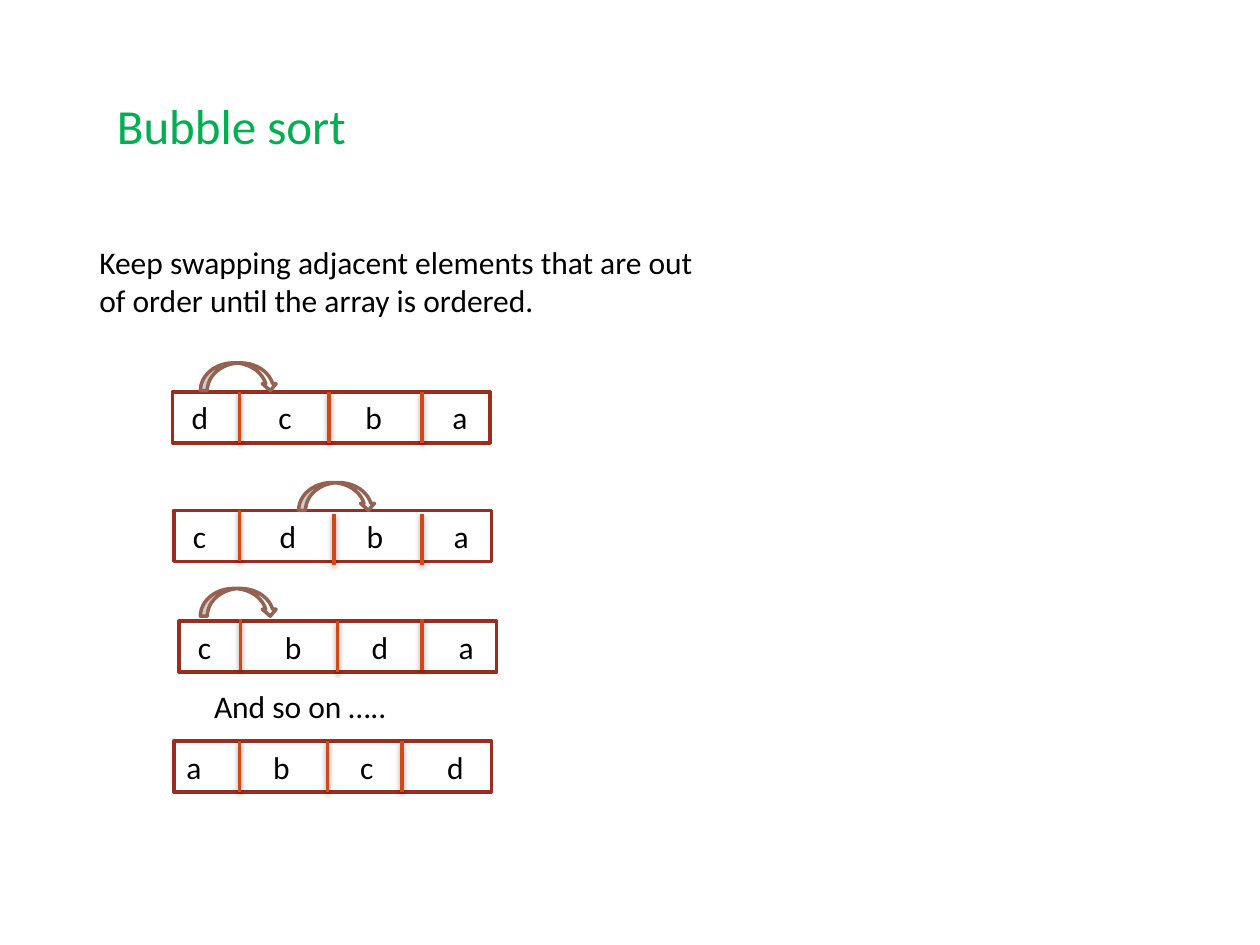
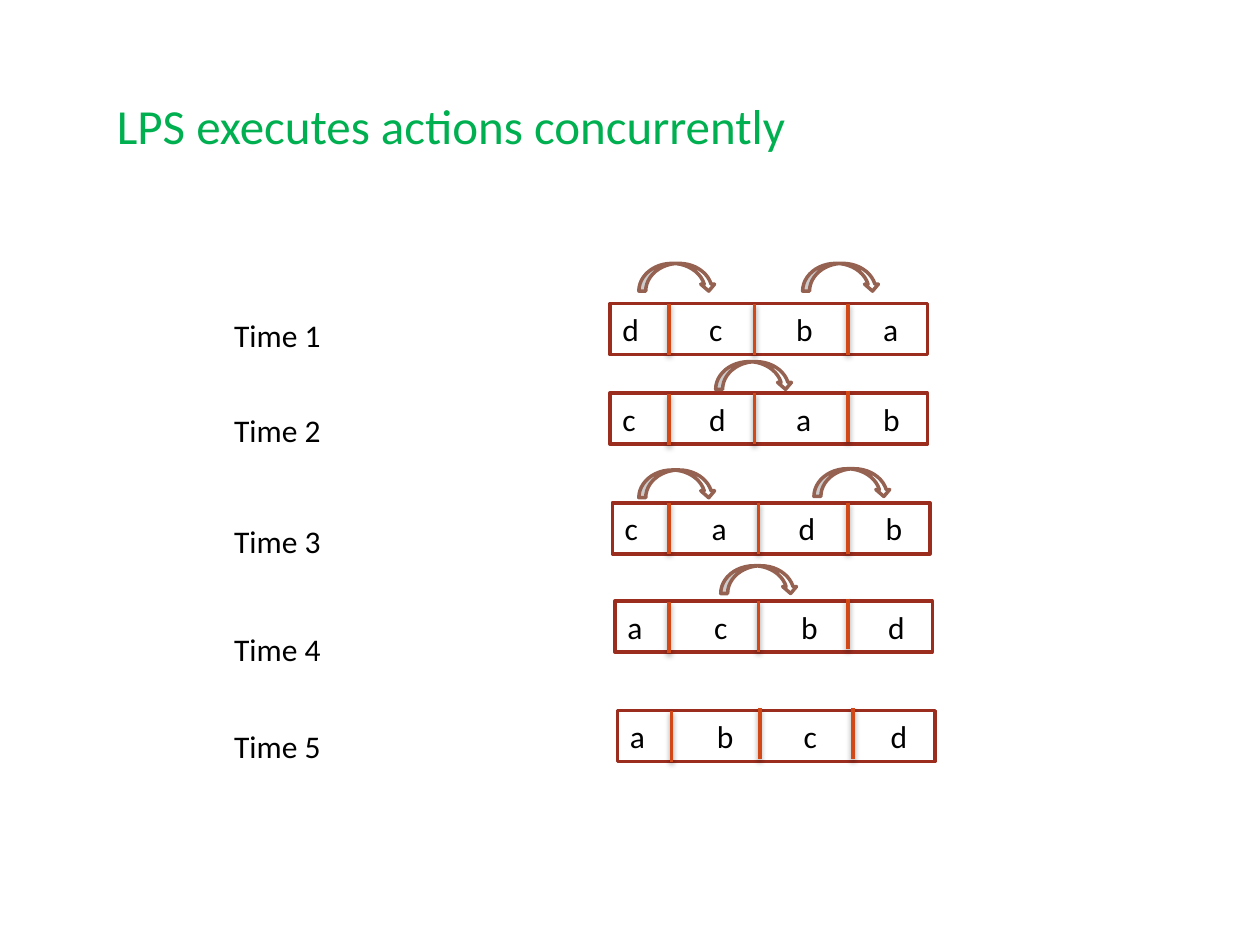
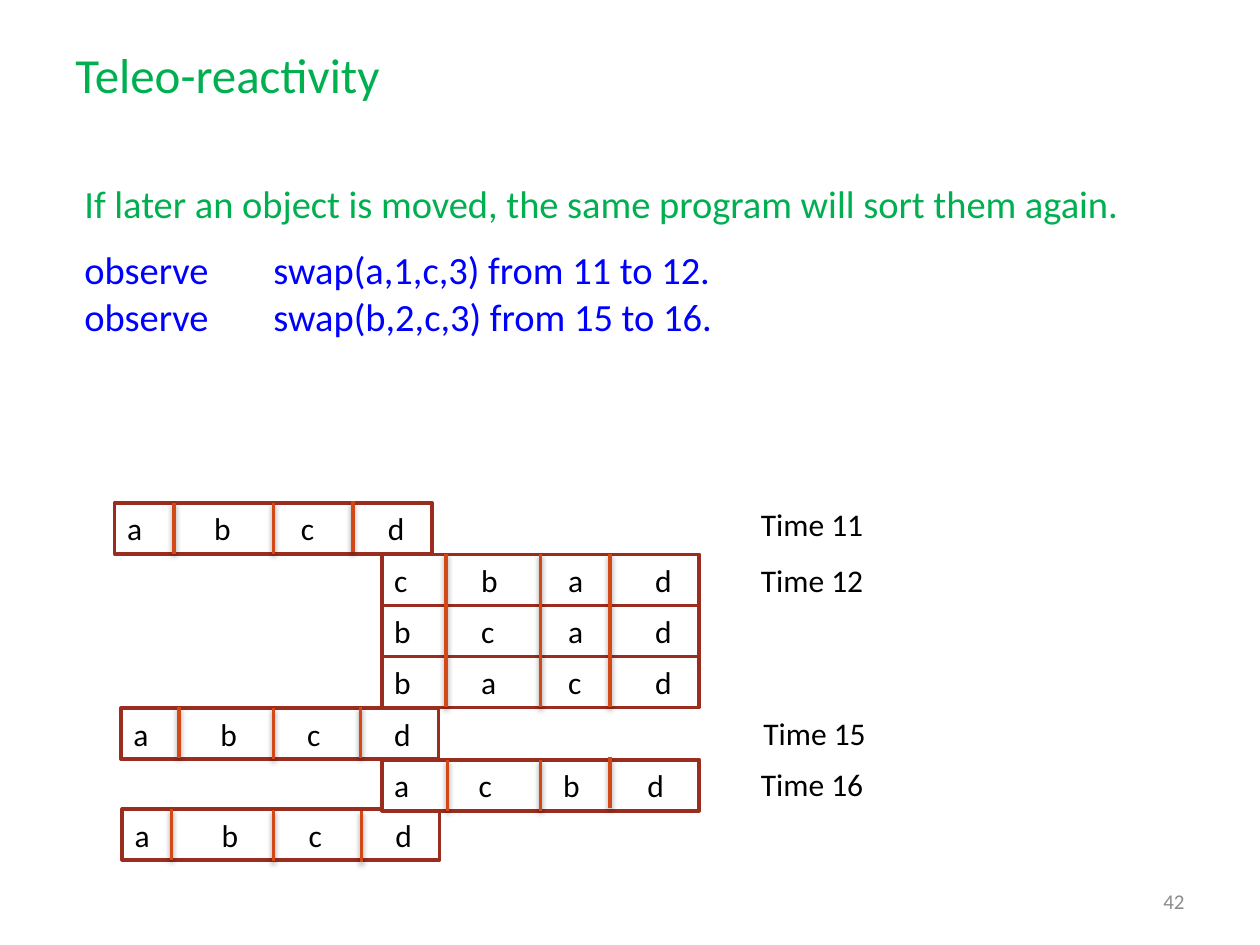
from lxml.etree import SubElement
from pptx import Presentation
from pptx.dml.color import RGBColor
from pptx.enum.shapes import MSO_CONNECTOR, MSO_SHAPE
from pptx.enum.text import MSO_ANCHOR, PP_ALIGN
from pptx.oxml.ns import qn
from pptx.util import Inches, Pt

WIDTH, HEIGHT = Inches(10), Inches(7.5)
COLUMNS, ROWS = 100, 75
FONT = "Calibri"
GREEN, BLUE, BLACK, WHITE, GREY = "00B050", "0000FF", "000000", "FFFFFF", "8C8C8C"
FRAME, DIVIDER, ARROW = "9B2D1F", "D34817", "956251"
ARRAY_WIDTH, ARRAY_HEIGHT = 25.2, 4.05
LETTER_PITCH = 6.9


def color(code):
    return RGBColor.from_string(code)


def across(columns):
    return int(WIDTH * columns / COLUMNS)


def down(rows):
    return int(HEIGHT * rows / ROWS)


def area(left, top, width, height):
    return across(left), down(top), across(width), down(height)


def assign(target, values):
    for name, value in values.items():
        setattr(target, name, value)


def add_tabs(para, stops):
    tabs = SubElement(para._p.get_or_add_pPr(), qn("a:tabLst"))
    for stop in stops:
        SubElement(tabs, qn("a:tab"), pos=str(across(stop)), algn="l")


def write(box, lines, frame_format=None, tabs=()):
    frame = box.text_frame
    assign(frame, {"word_wrap": True, **(frame_format or {})})
    for index, (text, size, code, para_format) in enumerate(lines):
        para = frame.paragraphs[0] if index == 0 else frame.add_paragraph()
        assign(para, {"alignment": PP_ALIGN.LEFT, **para_format})
        if tabs:
            add_tabs(para, tabs)
        span = para.add_run()
        span.text = text
        assign(span.font, {"name": FONT, "size": Pt(size)})
        span.font.color.rgb = color(code)


def add_text(page, place, lines, frame_format=None, tabs=()):
    write(page.shapes.add_textbox(*area(*place)), lines, frame_format, tabs)


def add_title(page, text, left=8.3, top=3.7):
    add_text(page, (left, top, 90, 12.5), [(text, 28, GREEN, {})],
             {"vertical_anchor": MSO_ANCHOR.MIDDLE})


def add_label(page, text, left, top, width=16.5, height=4.1):
    add_text(page, (left, top, width, height), [(text, 18, BLACK, {})])


def add_outlined(page, kind, place, line_code):
    shape = page.shapes.add_shape(kind, *area(*place))
    shape.shadow.inherit = False
    shape.fill.solid()
    shape.fill.fore_color.rgb = color(WHITE)
    shape.line.color.rgb = color(line_code)
    shape.line.width = Pt(2)
    return shape


def add_swap(page, left, top):
    add_outlined(page, MSO_SHAPE.CURVED_DOWN_ARROW, (left, top, 6.1, 2.2), ARROW)


def add_shadow(line):
    effects = SubElement(line._element.spPr, qn("a:effectLst"))
    shadow = SubElement(effects, qn("a:outerShdw"), blurRad=str(Pt(3.1)),
                        dist=str(Pt(1.6)), dir="5400000", rotWithShape="0")
    tone = SubElement(shadow, qn("a:srgbClr"), val=BLACK)
    SubElement(tone, qn("a:alpha"), val="38000")


def add_divider(page, column, top, bottom):
    line = page.shapes.add_connector(MSO_CONNECTOR.STRAIGHT, across(column), down(top),
                                     across(column), down(bottom))
    line.line.color.rgb = color(DIVIDER)
    line.line.width = Pt(2)
    add_shadow(line)
    return line


def add_arrays(page, left, top, orders, dividers, drops=(0, 0, 0), inset=1, pitch=LETTER_PITCH):
    boxes = []
    for index, letters in enumerate(orders):
        place = (left, top + index * ARRAY_HEIGHT, ARRAY_WIDTH, ARRAY_HEIGHT)
        box = add_outlined(page, MSO_SHAPE.RECTANGLE, place, FRAME)
        write(box, [("\t".join(letters), 18, BLACK, {})],
              {"margin_left": across(inset), "vertical_anchor": MSO_ANCHOR.MIDDLE},
              [pitch * step for step in range(1, len(letters))])
        boxes.append(box)
    bottom = top + len(orders) * ARRAY_HEIGHT
    for column, drop in zip(dividers, drops):
        line = add_divider(page, column, top + drop, bottom + drop)
        if abs(column - left - ARRAY_WIDTH / 2) < 0.05:
            line.begin_connect(boxes[0], 0)
            line.end_connect(boxes[-1], 2)


def add_bubble_sort(page):
    add_title(page, "Bubble sort")
    add_text(page, (6.9, 18.8, 50, 7.1), [
        ("Keep swapping adjacent elements that are out of order until the array is ordered.",
         18, BLACK, {})])
    add_arrays(page, 13.7, 31.1, ["dcba"], (19, 26.1, 33.5), inset=1.5)
    add_arrays(page, 13.8, 40.5, ["cdba"], (19, 26.5, 33.5), (0, 0.3, 0.3), inset=1.5)
    add_arrays(page, 14.2, 49.3, ["cbda"], (19.1, 26.8, 33.5), (-0.2, 0, -0.2), inset=1.5)
    add_arrays(page, 13.8, 58.8, ["abcd"], (19, 26, 31.9))
    for left, top in ((15.9, 28.8), (23.7, 38.3), (15.9, 46.7)):
        add_swap(page, left, top)
    add_label(page, "And so on …..", 16, 54, 19.1)


def add_concurrent_actions(page):
    add_title(page, "LPS executes actions concurrently")
    add_arrays(page, 48.4, 24.1, ["dcba"], (53.1, 59.9, 67.3))
    add_arrays(page, 48.4, 31.2, ["cdab"], (53.1, 59.9, 67.3), (0.1, 0, -0.2))
    add_arrays(page, 48.6, 39.9, ["cadb"], (53.1, 60.2, 67.3))
    add_arrays(page, 48.8, 47.7, ["acbd"], (53.1, 60.2, 67.3), (0.1, 0, -0.2))
    add_arrays(page, 49, 56.4, ["abcd"], (53.3, 60.3, 67.7), (0, -0.2, -0.2))
    for left, top in ((50.7, 20.9), (63.7, 20.9), (56.8, 28.7),
                      (50.7, 37.3), (64.6, 37.2), (57.2, 44.9)):
        add_swap(page, left, top)
    for time, top in enumerate((24.6, 32.1, 40.9, 49.5, 57.2), 1):
        add_label(page, f"Time {time}", 17.6, top)


def add_teleo_reactivity(page):
    add_title(page, "Teleo-reactivity", 5, -0.4)
    no_margins = {f"margin_{side}": 0 for side in ("left", "top", "right", "bottom")}
    add_text(page, (6.7, 14.3, 90, 13), [
        ("If later an object is moved, the same program will sort them again.", 22, GREEN, {}),
        ("observe\tswap(a,1,c,3) from 11 to 12.", 22, BLUE, {"space_before": Pt(11.5)}),
        ("observe\tswap(b,2,c,3) from 15 to 16.", 22, BLUE, {}),
    ], no_margins, [15])
    add_text(page, (71.7, 69.5, 23.3, 4),
             [("42", 12, GREY, {"alignment": PP_ALIGN.RIGHT})],
             {"vertical_anchor": MSO_ANCHOR.MIDDLE})
    add_arrays(page, 9.1, 39.9, ["abcd"], (13.8, 21.7, 28), (0, 0.1, -0.1))
    add_arrays(page, 30.3, 44, ["cbad", "bcad", "bacd"], (35.4, 42.9, 48.4))
    add_arrays(page, 9.6, 56.2, ["abcd"], (14.2, 21.7, 28.6), (-0.1, 0, -0.1))
    add_arrays(page, 9.7, 64.2, ["abcd"], (13.6, 21.7, 28.7), (0, 0.1, 0.2))
    add_arrays(page, 30.3, 60.3, ["acbd"], (35.5, 42.9, 48.4), (0, 0, -0.2), pitch=6.7)
    for time, left, top in ((11, 59.4, 39.6), (12, 59.4, 44),
                            (15, 59.6, 56.2), (16, 59.4, 60.2)):
        add_label(page, f"Time {time}", left, top)


def main():
    deck = Presentation()
    assign(deck, {"slide_width": WIDTH, "slide_height": HEIGHT})
    for build in (add_bubble_sort, add_concurrent_actions, add_teleo_reactivity):
        build(deck.slides.add_slide(deck.slide_layouts[6]))
    deck.save("out.pptx")


if __name__ == "__main__":
    main()
